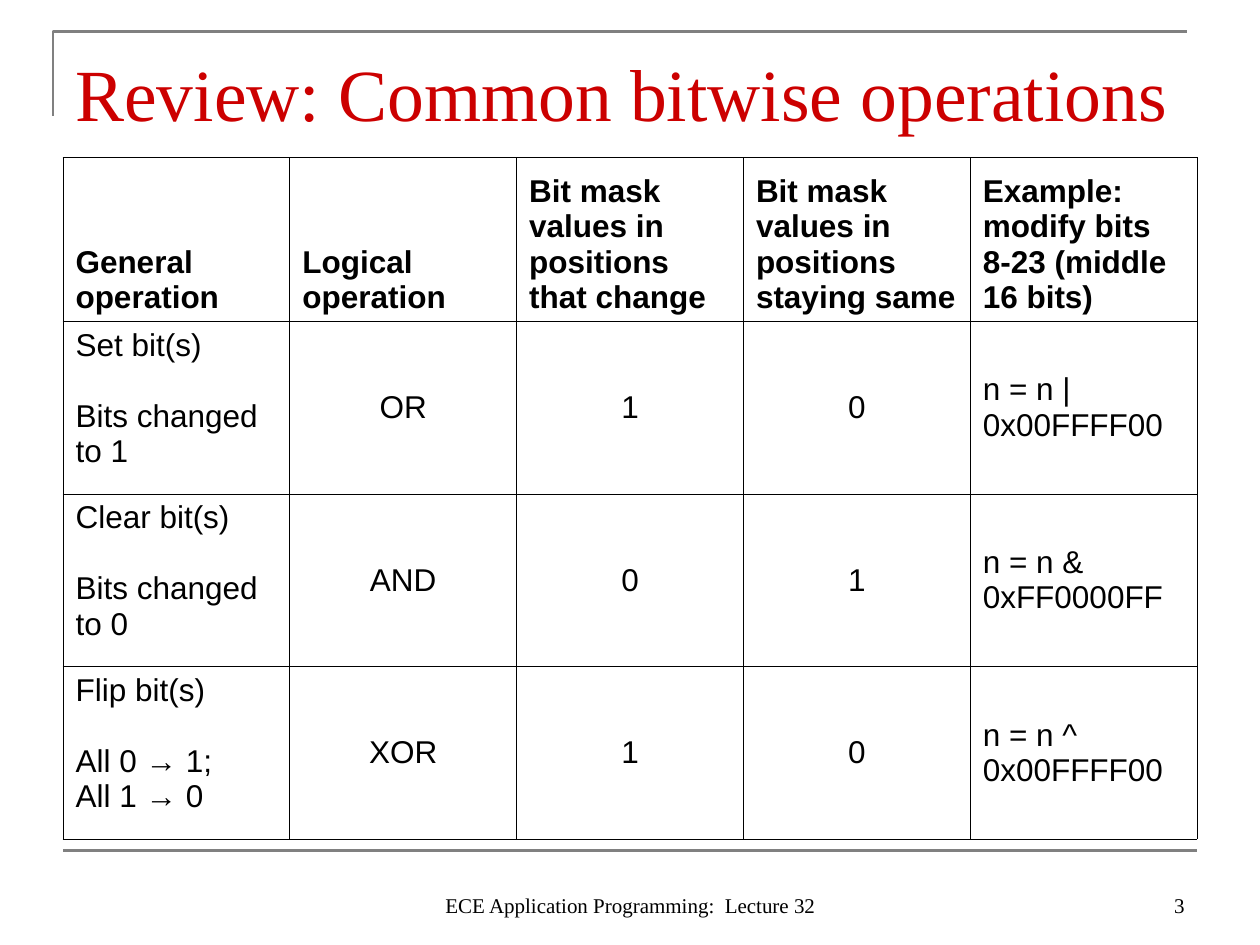
"""Build a slide that reviews common bitwise operations in a table."""
from dataclasses import dataclass

from lxml.etree import SubElement
from pptx import Presentation
from pptx.dml.color import RGBColor
from pptx.enum.shapes import MSO_CONNECTOR
from pptx.enum.text import MSO_ANCHOR, PP_ALIGN
from pptx.oxml.ns import qn
from pptx.util import Inches, Pt

TITLE = "Review: Common bitwise operations"
FOOTER = "ECE Application Programming:  Lecture 32"
PAGE_NUMBER = "3"
HEADINGS = [
    "General operation",
    "Logical operation",
    "Bit mask values in positions that change",
    "Bit mask values in positions staying same",
    "Example: modify bits 8-23 (middle 16 bits)",
]
OPERATIONS = [
    (["Set bit(s)", "Bits changed to 1"], "OR", "1", "0", "n = n | 0x00FFFF00"),
    (["Clear bit(s)", "Bits changed to 0"], "AND", "0", "1", "n = n & 0xFF0000FF"),
    (["Flip bit(s)", "All 0 → 1;", "All 1 → 0"], "XOR", "1", "0", "n = n ^ 0x00FFFF00"),
]


@dataclass(frozen=True)
class Theme:
    title_font: str = "Times New Roman"
    table_font: str = "Arial"
    title_color: str = "CC0000"
    text_color: str = "000000"
    rule_color: str = "808080"
    paper: str = "FFFFFF"
    title_size: float = 42
    table_size: float = 18
    footer_size: float = 12
    rule_width: float = 1.5
    border_width: float = 0.45
    label_gap: float = 20.5


THEME = Theme()
WIDTH, HEIGHT = 10, 7.5
MARGIN = WIDTH * 0.05
CONTENT_WIDTH = WIDTH - 2 * MARGIN
TABLE_TOP = HEIGHT / 6
HEADER_HEIGHT, ROW_HEIGHT = 1.3, 1.37
FOOTER_TOP, FOOTER_HEIGHT = 6.83, 0.5


def write(frame, lines, font, size, color, align=PP_ALIGN.LEFT, bold=False, gap=0):
    frame.word_wrap = True
    for index, line in enumerate(lines):
        para = frame.paragraphs[0] if index == 0 else frame.add_paragraph()
        para.alignment = align
        if index == 1:
            para.space_before = Pt(gap)
        span = para.add_run()
        span.text = line
        span.font.name = font
        span.font.size = Pt(size)
        span.font.bold = bold
        span.font.color.rgb = RGBColor.from_string(color)


def add_text(page, place, text, size, color, align, bottom_inset=0.05):
    box = page.shapes.add_textbox(*map(Inches, place))
    frame = box.text_frame
    frame.vertical_anchor = MSO_ANCHOR.BOTTOM
    frame.margin_bottom = Inches(bottom_inset)
    write(frame, [text], THEME.title_font, size, color, align)


def style_rule(shape):
    shape.line.color.rgb = RGBColor.from_string(THEME.rule_color)
    shape.line.width = Pt(THEME.rule_width)


def add_rules(page):
    left, top, stem = 0.42, 0.25, 0.67
    builder = page.shapes.build_freeform(Inches(left), Inches(top + stem))
    corner = [(left, top), (left + CONTENT_WIDTH, top)]
    builder.add_line_segments([(Inches(x), Inches(y)) for x, y in corner], close=False)
    bracket = builder.convert_to_shape()
    bracket.shadow.inherit = False
    bracket.fill.background()
    style_rule(bracket)
    level = Inches(HEIGHT * 0.9)
    rule = page.shapes.add_connector(
        MSO_CONNECTOR.STRAIGHT, Inches(MARGIN), level, Inches(WIDTH - MARGIN), level
    )
    style_rule(rule)
    SubElement(rule._element.spPr, qn("a:effectLst"))


def style_cell(cell):
    properties = cell._tc.get_or_add_tcPr()
    for side in ("a:lnL", "a:lnR", "a:lnT", "a:lnB"):
        line = SubElement(properties, qn(side), w=str(Pt(THEME.border_width)))
        fill = SubElement(line, qn("a:solidFill"))
        SubElement(fill, qn("a:srgbClr"), val=THEME.text_color)
    cell.fill.solid()
    cell.fill.fore_color.rgb = RGBColor.from_string(THEME.paper)


def add_operations(page):
    rows = [HEADINGS, *OPERATIONS]
    heights = [HEADER_HEIGHT] + [ROW_HEIGHT] * len(OPERATIONS)
    place = (MARGIN, TABLE_TOP, CONTENT_WIDTH, sum(heights))
    table = page.shapes.add_table(len(rows), len(HEADINGS), *map(Inches, place)).table
    table.first_row = table.horz_banding = False
    for row_index, (row, height) in enumerate(zip(rows, heights)):
        table.rows[row_index].height = Inches(height)
        header = row_index == 0
        for column, content in enumerate(row):
            cell = table.cell(row_index, column)
            style_cell(cell)
            if header:
                cell.vertical_anchor = MSO_ANCHOR.BOTTOM
            else:
                cell.vertical_anchor = MSO_ANCHOR.MIDDLE if column else MSO_ANCHOR.TOP
            centred = not header and 0 < column < len(HEADINGS) - 1
            lines = content if isinstance(content, list) else [content]
            align = PP_ALIGN.CENTER if centred else PP_ALIGN.LEFT
            write(cell.text_frame, lines, THEME.table_font, THEME.table_size,
                  THEME.text_color, align, header, THEME.label_gap)


def main():
    deck = Presentation()
    deck.slide_width, deck.slide_height = Inches(WIDTH), Inches(HEIGHT)
    page = deck.slides.add_slide(deck.slide_layouts[6])
    add_rules(page)
    add_text(page, (MARGIN, 0.3, CONTENT_WIDTH, 0.78), TITLE,
             THEME.title_size, THEME.title_color, PP_ALIGN.LEFT, 0)
    add_operations(page)
    for left, width, text, align in [
        (3.42, 3.17, FOOTER, PP_ALIGN.CENTER),
        (7.17, 2.33, PAGE_NUMBER, PP_ALIGN.RIGHT),
    ]:
        add_text(page, (left, FOOTER_TOP, width, FOOTER_HEIGHT), text,
                 THEME.footer_size, THEME.text_color, align)
    deck.save("out.pptx")


if __name__ == "__main__":
    main()
